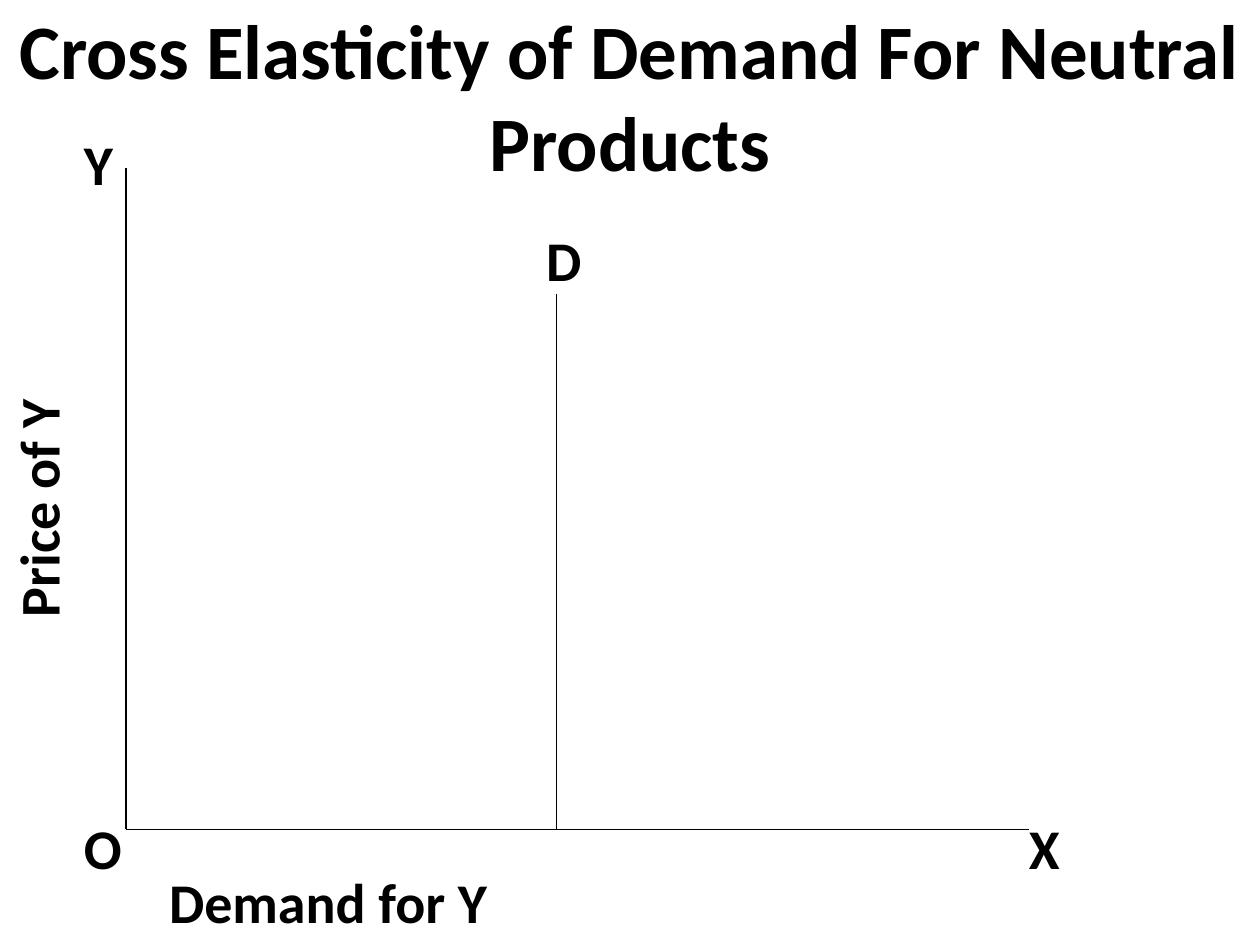
from typing import NamedTuple

from lxml.etree import SubElement
from pptx import Presentation
from pptx.dml.color import RGBColor
from pptx.enum.shapes import MSO_CONNECTOR
from pptx.enum.text import MSO_ANCHOR, MSO_AUTO_SIZE, PP_ALIGN
from pptx.oxml.ns import qn
from pptx.util import Inches, Pt

COLORS = {"ink": "000000", "paper": "FFFFFF"}
FONT = "Calibri"
COLUMNS, ROWS = 120, 90
LABEL_HEIGHT = 6.7

prs = Presentation()
prs.slide_width, prs.slide_height = Inches(10), Inches(7.5)


class Label(NamedTuple):
    text: str
    column: float
    row: float
    width: float
    height: float = LABEL_HEIGHT
    upward: bool = False


class Line(NamedTuple):
    start: tuple[float, float]
    end: tuple[float, float]


def across(columns: float) -> int:
    return round(prs.slide_width * columns / COLUMNS)


def down(rows: float) -> int:
    return round(prs.slide_height * rows / ROWS)


def place(shape, column: float, row: float, width: float, height: float) -> None:
    shape.left, shape.top = across(column), down(row)
    shape.width, shape.height = across(width), down(height)


def format_text(frame, size: int) -> None:
    """Trim the margins and apply the slide's bold lettering."""
    frame.margin_left = frame.margin_right = frame.margin_bottom = 0
    frame.margin_top = Inches(0.02)
    frame.word_wrap = True
    frame.auto_size = MSO_AUTO_SIZE.NONE
    frame.vertical_anchor = MSO_ANCHOR.TOP
    for run in frame.paragraphs[0].runs:
        font = run.font
        font.name, font.size, font.bold = FONT, Pt(size), True
        font.color.rgb = RGBColor.from_string(COLORS["ink"])


def draw_line(slide, line: Line) -> None:
    connector = slide.shapes.add_connector(
        MSO_CONNECTOR.STRAIGHT,
        across(line.start[0]), down(line.start[1]),
        across(line.end[0]), down(line.end[1]),
    )
    connector.line.width = Pt(1)
    connector.line.color.rgb = RGBColor.from_string(COLORS["ink"])
    SubElement(connector.element.spPr, qn("a:effectLst"))


def draw_label(slide, label: Label) -> None:
    box = slide.shapes.add_textbox(0, 0, 0, 0)
    place(box, label.column, label.row, label.width, label.height)
    frame = box.text_frame
    frame.text = label.text
    format_text(frame, 32)
    if label.upward:
        frame.margin_top = 0
        frame.paragraphs[0].line_spacing = Pt(31.4)
        frame._txBody.bodyPr.set("vert", "vert270")


def main() -> None:
    slide = prs.slides.add_slide(prs.slide_layouts[5])
    fill = slide.background.fill
    fill.solid()
    fill.fore_color.rgb = RGBColor.from_string(COLORS["paper"])

    title = slide.shapes.title
    place(title, 1, 0, 118, 18)
    title.text_frame.text = "Cross Elasticity of Demand For Neutral Products"
    format_text(title.text_frame, 44)
    title.text_frame.paragraphs[0].alignment = PP_ALIGN.CENTER

    origin, axis_top, axis_right = (12, 79), (12, 16), (98, 79)
    demand_top, demand_foot = (53, 28), (53, 79)
    for line in (
        Line(axis_top, origin),
        Line(origin, axis_right),
        Line(demand_top, demand_foot),
    ):
        draw_line(slide, line)

    for label in (
        Label("Price of Y", 1.5, 37.8, 5.6, 21, upward=True),
        Label("O", 8, 77.2, 4),
        Label("Y", 8, 12.1, 3.2),
        Label("X", 98, 77.2, 3.2),
        Label("D", 52, 21.2, 4),
        Label("Demand for Y", 16.1, 82.4, 31),
    ):
        draw_label(slide, label)

    prs.save("out.pptx")


if __name__ == "__main__":
    main()
